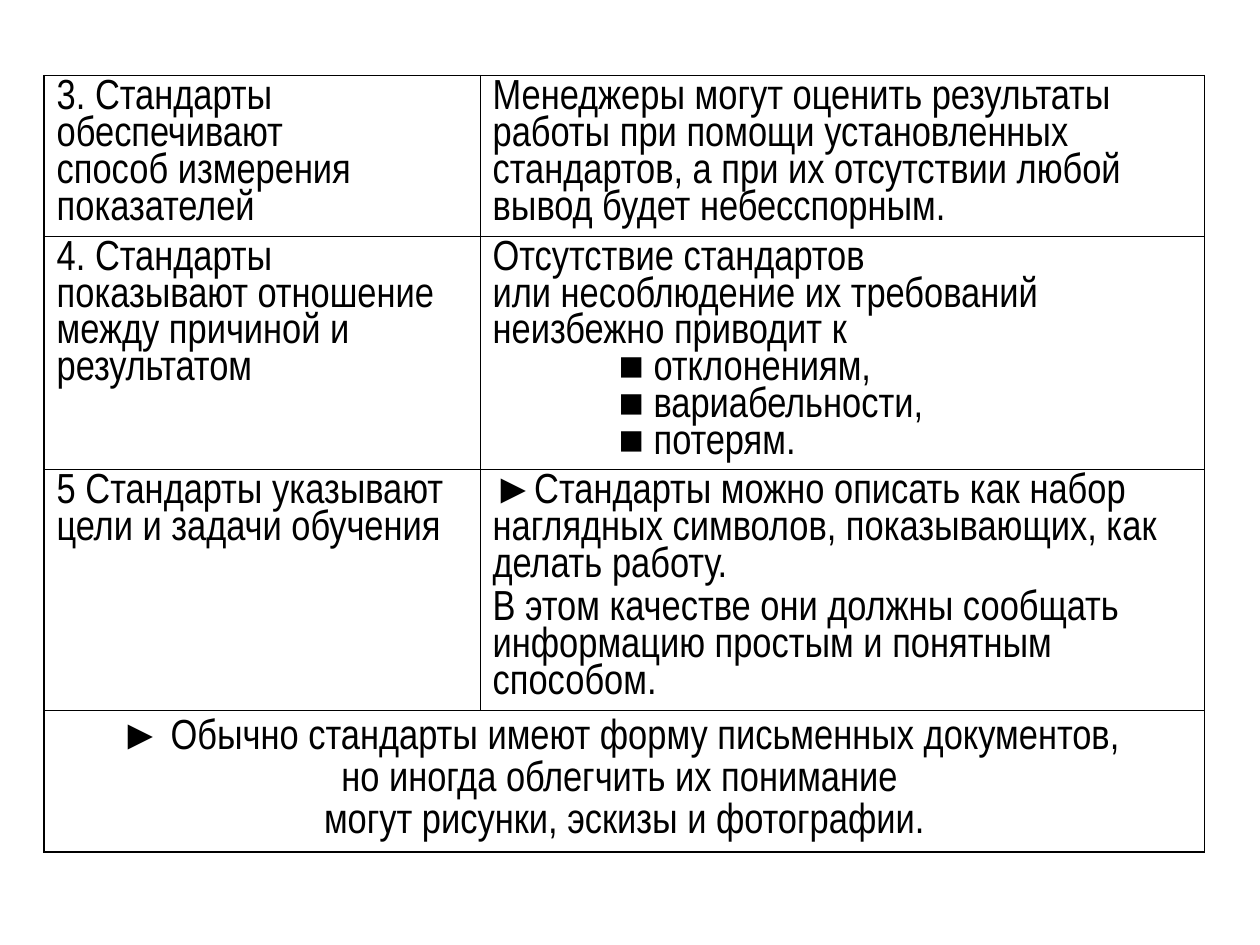
from dataclasses import dataclass

from lxml.etree import SubElement
from pptx import Presentation
from pptx.dml.color import RGBColor
from pptx.enum.text import PP_ALIGN
from pptx.oxml import parse_xml
from pptx.oxml.ns import nsdecls, qn
from pptx.util import Inches, Pt

SLIDE_W, SLIDE_H = Inches(10), Inches(7.5)
COLUMN_SHARES = (0.346, 0.575)           # of the slide width
ROW_SHARES = (0.17, 0.246, 0.255, 0.15)  # of the slide height
LEFT_SHARE, TOP_SHARE = 0.035, 0.08
FONT, TEXT_SIZE, INK = "Arial Narrow", 24, "000000"
OUTER_LINE, INNER_LINE = 1.08, 0.45
TAB_STOPS = range(8)                     # one stop per inch


@dataclass(frozen=True)
class Entry:
    """The paragraphs of one table cell."""
    paragraphs: tuple[str, ...]
    line_pitch: float = 21
    gap: float = 0
    centred: bool = False


STANDARDS = (
    (Entry(("3. Стандарты обеспечивают\nспособ измерения показателей",)),
     Entry(("Менеджеры могут оценить результаты работы при помощи установленных "
            "стандартов, а при их отсутствии любой вывод будет небесспорным.",))),
    (Entry(("4. Стандарты показывают отношение между причиной и результатом",)),
     Entry(("Отсутствие стандартов",
            "или несоблюдение их требований",
            "неизбежно приводит к",
            "\t■ отклонениям,",
            "\t■ вариабельности,",
            "\t■ потерям."))),
    (Entry(("5 Стандарты указывают цели и задачи обучения",)),
     Entry(("►Стандарты можно описать как набор наглядных символов, "
            "показывающих, как делать работу.",
            "В этом качестве они должны сообщать информацию простым и понятным "
            "способом."), gap=4)),
    (Entry(("► Обычно стандарты имеют форму письменных документов, ",
            "но иногда облегчить их понимание ",
            "могут рисунки, эскизы и фотографии."), line_pitch=24, centred=True),),
)


def colour(value: str) -> RGBColor:
    return RGBColor.from_string(value)


def write_entry(cell, entry: Entry) -> None:
    frame = cell.text_frame
    for index, text in enumerate(entry.paragraphs):
        paragraph = frame.add_paragraph() if index else frame.paragraphs[0]
        paragraph.line_spacing = Pt(entry.line_pitch)
        paragraph.space_before = Pt(entry.gap if index else 0)
        paragraph.alignment = PP_ALIGN.CENTER if entry.centred else PP_ALIGN.LEFT
        tabs = SubElement(paragraph._p.get_or_add_pPr(), qn("a:tabLst"))
        for stop in TAB_STOPS:
            SubElement(tabs, qn("a:tab"), pos=str(Inches(stop)), algn="l")
        for number, line in enumerate(text.split("\n")):
            if number:
                paragraph.add_line_break()
            run = paragraph.add_run()
            run.text = line
            run.font.name = FONT
            run.font.size = Pt(TEXT_SIZE)
            run.font.color.rgb = colour(INK)


def rule_cell(cell, widths: dict[str, float]) -> None:
    """Clear the fill and draw the borders, in the order left, right, top, bottom."""
    cell.fill.background()
    properties = cell._tc.get_or_add_tcPr()
    for position, (side, width) in enumerate(widths.items()):
        properties.insert(position, parse_xml(
            f'<a:ln{side} {nsdecls("a")} w="{int(Pt(width))}"><a:solidFill>'
            f'<a:srgbClr val="{INK}"/></a:solidFill></a:ln{side}>'))


def add_standards_table(slide) -> None:
    row_count, column_count = len(ROW_SHARES), len(COLUMN_SHARES)
    last_row = row_count - 1
    table = slide.shapes.add_table(
        row_count, column_count,
        int(SLIDE_W * LEFT_SHARE), int(SLIDE_H * TOP_SHARE),
        int(SLIDE_W * sum(COLUMN_SHARES)), int(SLIDE_H * sum(ROW_SHARES))).table
    table.first_row = table.horz_banding = False
    for column, share in zip(table.columns, COLUMN_SHARES):
        column.width = int(SLIDE_W * share)
    for row, share in zip(table.rows, ROW_SHARES):
        row.height = int(SLIDE_H * share)

    # Thick frame around the rows and the conclusion, thin rules between cells
    for r in range(row_count):
        for c in range(column_count):
            rule_cell(table.cell(r, c), {
                "L": INNER_LINE if c else OUTER_LINE,
                "R": OUTER_LINE if c or r == last_row else INNER_LINE,
                "T": OUTER_LINE if r in (0, last_row) else INNER_LINE,
                "B": OUTER_LINE if r >= last_row - 1 else INNER_LINE})

    # The conclusion spans both columns
    table.cell(last_row, 0).merge(table.cell(last_row, column_count - 1))
    for r, entries in enumerate(STANDARDS):
        for c, entry in enumerate(entries):
            write_entry(table.cell(r, c), entry)


def main() -> None:
    deck = Presentation()
    deck.slide_width, deck.slide_height = SLIDE_W, SLIDE_H
    add_standards_table(deck.slides.add_slide(deck.slide_layouts[6]))
    deck.save("out.pptx")


if __name__ == "__main__":
    main()
